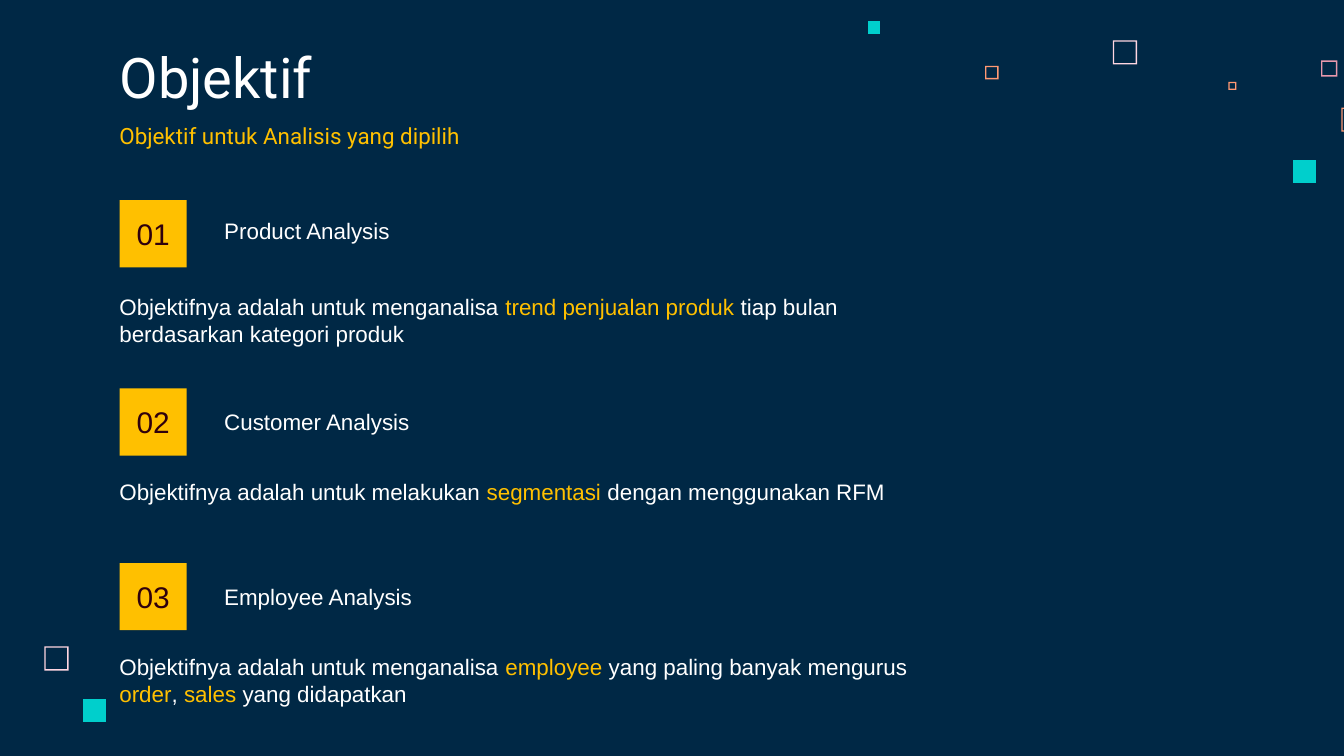
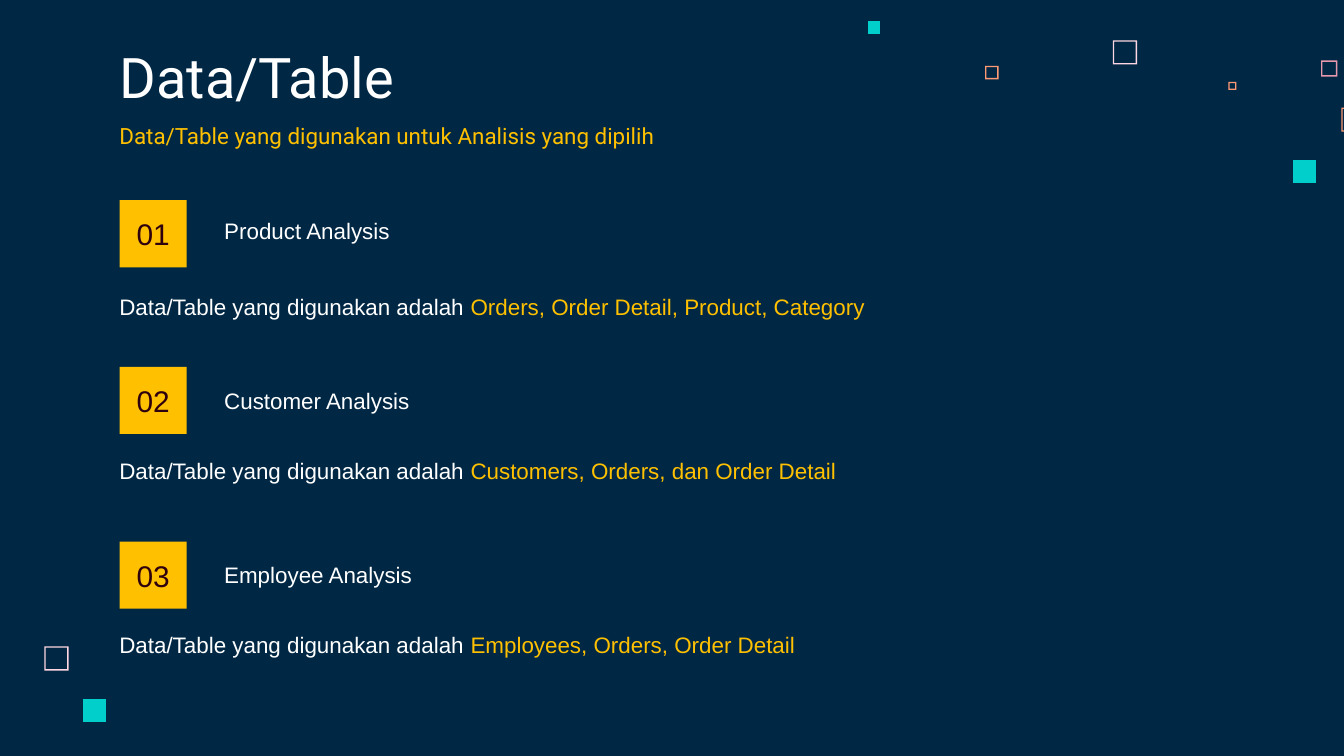
import dataclasses
import itertools
from typing import Any

import pptx
import pptx.dml.color
import pptx.enum.shapes
import pptx.enum.text
import pptx.presentation
import pptx.shapes.base
import pptx.slide
import pptx.text.text
import pptx.util
from pptx.util import Inches

NAVY, WHITE, GOLD, MAROON = "002845", "FFFFFF", "FFC000", "2F000D"
PINK, ROSE, ORANGE, TEAL = "FFD6E1", "E898AC", "FF9973", "00CFCC"

SLIDE_WIDTH = Inches(10)
SLIDE_HEIGHT = SLIDE_WIDTH * 9 // 16
TITLE_LAYOUT = 5
TEXT_LEFT, HEADING_LEFT, BADGE_LEFT = 0.79, 1.57, 0.89
BADGE_SIZE, BODY_WIDTH = 0.5, 6.16
LINE_HEIGHT, EXTRA_LINE = 0.3, 0.2
FRAME_THICKNESS = Inches(0.01)

ANCHOR = pptx.enum.text.MSO_ANCHOR
ALIGN = pptx.enum.text.PP_ALIGN
AUTO_SIZE = pptx.enum.text.MSO_AUTO_SIZE

GROWING_BOX = {"word_wrap": True, "auto_size": AUTO_SIZE.SHAPE_TO_FIT_TEXT}
EVEN_MARGINS = {
    f"margin_{side}": Inches(0.1) for side in ("left", "top", "right", "bottom")
}
TITLE_BOX = EVEN_MARGINS | {
    "word_wrap": True,
    "auto_size": AUTO_SIZE.NONE,
    "vertical_anchor": ANCHOR.BOTTOM,
}
BADGE_BOX = EVEN_MARGINS | {"vertical_anchor": ANCHOR.MIDDLE}


@dataclasses.dataclass(frozen=True)
class Square:
    left: float
    top: float
    size: float
    color: str
    hollow: bool = True


@dataclasses.dataclass(frozen=True)
class Topic:
    """A numbered heading; the drops are measured from the top of its badge."""

    name: str
    width: float
    heading_drop: float
    body_drop: float


@dataclasses.dataclass(frozen=True)
class Entry:
    """Text of one topic, alternating between plain and highlighted spans."""

    top: float
    spans: tuple[str, ...]
    lines: int = 1


@dataclasses.dataclass(frozen=True)
class Page:
    title: str
    subtitle: str
    entries: tuple[Entry, ...]


SQUARES = (
    Square(8.28, 0.3, 0.18, PINK),
    Square(9.83, 0.45, 0.12, ROSE),
    Square(9.14, 0.61, 0.06, ORANGE),
    Square(9.98, 0.8, 0.18, ORANGE),
    Square(9.62, 1.19, 0.17, TEAL, hollow=False),
    Square(7.33, 0.49, 0.1, ORANGE),
    Square(6.46, 0.16, 0.09, TEAL, hollow=False),
    Square(0.33, 4.81, 0.18, PINK),
    Square(0.62, 5.2, 0.17, TEAL, hollow=False),
)

TOPICS = (
    Topic("Product Analysis", 1.51, 0.08, 0.64),
    Topic("Customer Analysis", 1.74, 0.1, 0.62),
    Topic("Employee Analysis", 1.74, 0.1, 0.62),
)

TABLES_USED = "Data/Table yang digunakan adalah "

PAGES = (
    Page(
        "Objektif",
        "Objektif untuk Analisis yang dipilih",
        (
            Entry(
                1.49,
                (
                    "Objektifnya adalah untuk menganalisa ",
                    "trend penjualan produk ",
                    "tiap bulan berdasarkan kategori produk",
                ),
                lines=2,
            ),
            Entry(
                2.89,
                (
                    "Objektifnya adalah untuk melakukan ",
                    "segmentasi ",
                    "dengan menggunakan RFM",
                ),
            ),
            Entry(
                4.19,
                (
                    "Objektifnya adalah untuk menganalisa ",
                    "employee",
                    " yang paling banyak mengurus ",
                    "order",
                    ", ",
                    "sales",
                    " yang didapatkan",
                ),
                lines=2,
            ),
        ),
    ),
    Page(
        "Data/Table",
        "Data/Table yang digunakan untuk Analisis yang dipilih",
        (
            Entry(1.49, (TABLES_USED, "Orders, Order Detail, Product, Category")),
            Entry(2.73, (TABLES_USED, "Customers, Orders, dan Order Detail")),
            Entry(4.03, (TABLES_USED, "Employees, Orders, Order Detail")),
        ),
    ),
)


def rgb(color: str) -> pptx.dml.color.RGBColor:
    return pptx.dml.color.RGBColor.from_string(color)


def apply_format(target: Any, values: dict[str, Any]) -> None:
    for name, value in values.items():
        setattr(target, name, value)


def paint(shape: pptx.shapes.base.BaseShape, color: str) -> None:
    """Give the shape a flat fill without line or shadow."""
    shape.fill.solid()
    shape.fill.fore_color.rgb = rgb(color)
    shape.line.fill.background()
    shape.shadow.inherit = False


def write(
    frame: pptx.text.text.TextFrame,
    spans: tuple[str, ...],
    box_format: dict[str, Any],
    colors: tuple[str, ...] = (WHITE,),
    size: int = 12,
    font: str = "Arial",
    alignment: ALIGN = ALIGN.LEFT,
) -> None:
    """Write one paragraph whose spans take the colours in turn."""
    apply_format(frame, box_format)
    paragraph = frame.paragraphs[0]
    paragraph.alignment = alignment
    for text, color in zip(spans, itertools.cycle(colors)):
        run = paragraph.add_run()
        run.text = text
        apply_format(run.font, {"name": font, "size": pptx.util.Pt(size)})
        run.font.color.rgb = rgb(color)


def add_text(
    slide: pptx.slide.Slide,
    left: float,
    top: float,
    width: float,
    spans: tuple[str, ...],
    lines: int = 1,
    **style: Any,
) -> None:
    height = LINE_HEIGHT + (lines - 1) * EXTRA_LINE
    box = slide.shapes.add_textbox(
        Inches(left), Inches(top), Inches(width), Inches(height)
    )
    write(box.text_frame, spans, GROWING_BOX, **style)


def add_square(slide: pptx.slide.Slide, square: Square) -> None:
    left, top, size = (Inches(n) for n in (square.left, square.top, square.size))
    right, bottom = left + size, top + size
    builder = slide.shapes.build_freeform(left, top)
    builder.add_line_segments([(left, bottom), (right, bottom), (right, top)])
    if square.hollow:
        left, top = left + FRAME_THICKNESS, top + FRAME_THICKNESS
        right, bottom = right - FRAME_THICKNESS, bottom - FRAME_THICKNESS
        builder.move_to(left, top)
        builder.add_line_segments([(right, top), (right, bottom), (left, bottom)])
    paint(builder.convert_to_shape(), square.color)


def add_title(slide: pptx.slide.Slide, text: str) -> None:
    title = slide.shapes.title
    position = {"left": TEXT_LEFT, "top": 0.29, "width": 5.95, "height": 0.63}
    apply_format(title, {name: Inches(value) for name, value in position.items()})
    write(title.text_frame, (text,), TITLE_BOX, size=30, font="Roboto")


def add_badge(slide: pptx.slide.Slide, top: float, number: int) -> None:
    badge = slide.shapes.add_shape(
        pptx.enum.shapes.MSO_SHAPE.RECTANGLE,
        Inches(BADGE_LEFT),
        Inches(top),
        Inches(BADGE_SIZE),
        Inches(BADGE_SIZE),
    )
    paint(badge, GOLD)
    write(
        badge.text_frame,
        (f"{number:02}",),
        BADGE_BOX,
        colors=(MAROON,),
        size=16,
        alignment=ALIGN.CENTER,
    )


def add_page(presentation: pptx.presentation.Presentation, page: Page) -> None:
    slide = presentation.slides.add_slide(presentation.slide_layouts[TITLE_LAYOUT])
    for square in SQUARES:
        add_square(slide, square)
    add_title(slide, page.title)
    add_text(
        slide, TEXT_LEFT, 0.86, 6.6, (page.subtitle,), colors=(GOLD,), font="Roboto"
    )
    for number, (topic, entry) in enumerate(zip(TOPICS, page.entries), start=1):
        heading_top = entry.top + topic.heading_drop
        add_text(slide, HEADING_LEFT, heading_top, topic.width, (topic.name,))
        add_badge(slide, entry.top, number)
        add_text(
            slide,
            TEXT_LEFT,
            entry.top + topic.body_drop,
            BODY_WIDTH,
            entry.spans,
            lines=entry.lines,
            colors=(WHITE, GOLD),
        )


def main() -> None:
    presentation = pptx.Presentation()
    presentation.slide_width = SLIDE_WIDTH
    presentation.slide_height = SLIDE_HEIGHT
    background = presentation.slide_master.background.fill
    background.solid()
    background.fore_color.rgb = rgb(NAVY)
    for page in PAGES:
        add_page(presentation, page)
    presentation.save("out.pptx")


if __name__ == "__main__":
    main()
